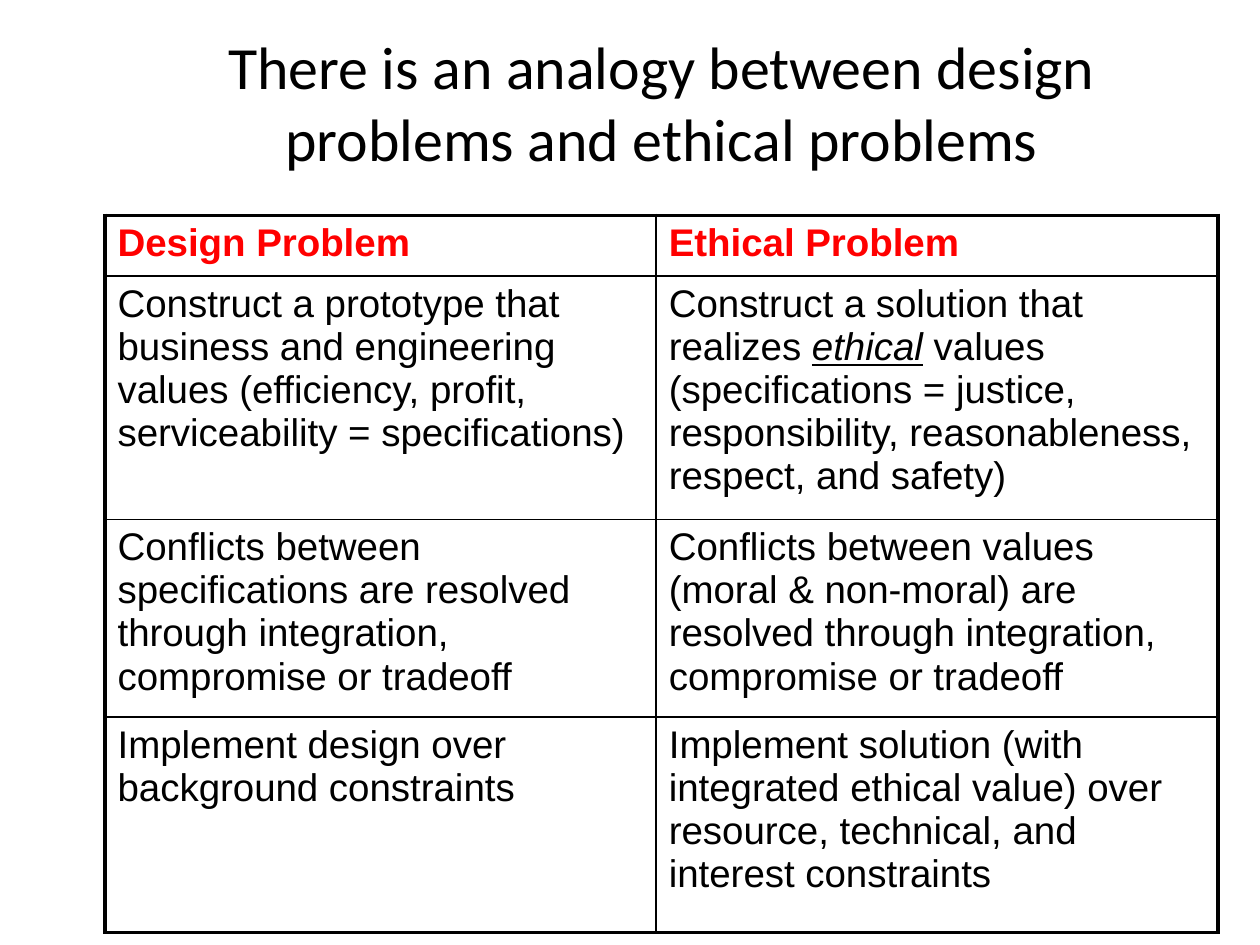
from lxml.etree import SubElement
from pptx import Presentation
from pptx.dml.color import RGBColor
from pptx.enum.text import MSO_ANCHOR, PP_ALIGN
from pptx.oxml.ns import qn
from pptx.util import Pt

COLORS = {"text": "000000", "heading": "FF0000", "line": "000000"}
TITLE = "There is an analogy between design problems and ethical problems"

# Each cell is a list of (text, emphasised) runs.
ROWS = [
    ([("Design Problem", False)], [("Ethical Problem", False)]),
    ([("Construct a prototype that business and engineering values "
       "(efficiency, profit, serviceability = specifications)", False)],
     [("Construct a solution that realizes ", False), ("ethical", True),
      (" values (specifications = justice, responsibility, reasonableness, "
       "respect, and safety)", False)]),
    ([("Conflicts between specifications are resolved through integration, "
       "compromise or tradeoff", False)],
     [("Conflicts between values (moral & non-moral) are resolved through "
       "integration, compromise or tradeoff", False)]),
    ([("Implement design over background constraints", False)],
     [("Implement solution (with integrated ethical value) over resource, "
       "technical, and interest constraints", False)]),
]
COLUMN_WIDTHS = (315, 321)
ROW_HEIGHTS = (34.8, 133.2, 108, 123)
OUTER_LINE, INNER_LINE = 2.25, 1


def add_run(para, text, font, size, color):
    span = para.add_run()
    span.text = text
    span.font.name = font
    span.font.size = Pt(size)
    span.font.color.rgb = RGBColor.from_string(COLORS[color])
    return span


def set_borders(cell, widths):
    """Draw the cell's edges; widths maps lnL, lnR, lnT, lnB to points."""
    properties = cell._tc.get_or_add_tcPr()
    for position, (side, width) in enumerate(widths.items()):
        line = SubElement(properties, qn(f"a:{side}"), w=str(int(Pt(width))))
        fill = SubElement(line, qn("a:solidFill"))
        SubElement(fill, qn("a:srgbClr"), val=COLORS["line"])
        properties.insert(position, line)


def add_title(page):
    box = page.shapes.add_textbox(Pt(72), Pt(12), Pt(612), Pt(92))
    frame = box.text_frame
    frame.word_wrap = True
    frame.vertical_anchor = MSO_ANCHOR.MIDDLE
    para = frame.paragraphs[0]
    para.alignment = PP_ALIGN.CENTER
    add_run(para, TITLE, "Calibri", 34.2, "text")


def add_comparison(page):
    last_row, last_column = len(ROWS) - 1, len(COLUMN_WIDTHS) - 1
    table = page.shapes.add_table(
        len(ROWS), len(COLUMN_WIDTHS), Pt(60), Pt(123),
        Pt(sum(COLUMN_WIDTHS)), Pt(sum(ROW_HEIGHTS))).table
    table.first_row = table.horz_banding = False
    for column, width in zip(table.columns, COLUMN_WIDTHS):
        column.width = Pt(width)
    for r, (row, height) in enumerate(zip(ROWS, ROW_HEIGHTS)):
        table.rows[r].height = Pt(height)
        for c, runs in enumerate(row):
            cell = table.cell(r, c)
            cell.fill.background()
            on_edge = {"lnL": c == 0, "lnR": c == last_column,
                       "lnT": r == 0, "lnB": r == last_row}
            set_borders(cell, {side: OUTER_LINE if outer else INNER_LINE
                               for side, outer in on_edge.items()})
            para = cell.text_frame.paragraphs[0]
            for text, emphasised in runs:
                span = add_run(para, text, "Arial", 22,
                               "heading" if r == 0 else "text")
                span.font.bold = r == 0
                span.font.italic = span.font.underline = emphasised


def main():
    deck = Presentation()
    deck.slide_width, deck.slide_height = Pt(720), Pt(540)
    page = deck.slides.add_slide(deck.slide_layouts[6])
    add_title(page)
    add_comparison(page)
    deck.save("out.pptx")


if __name__ == "__main__":
    main()
